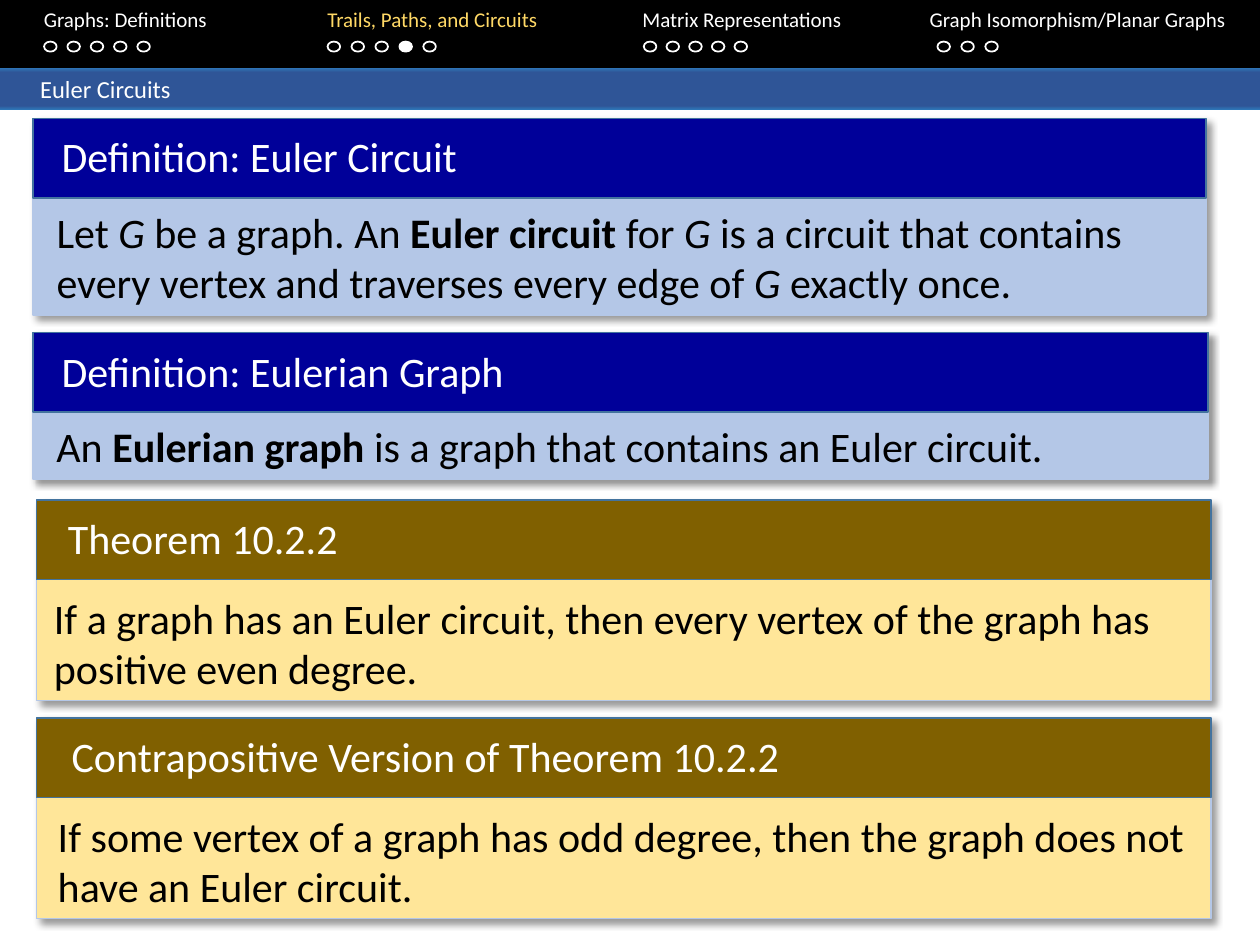
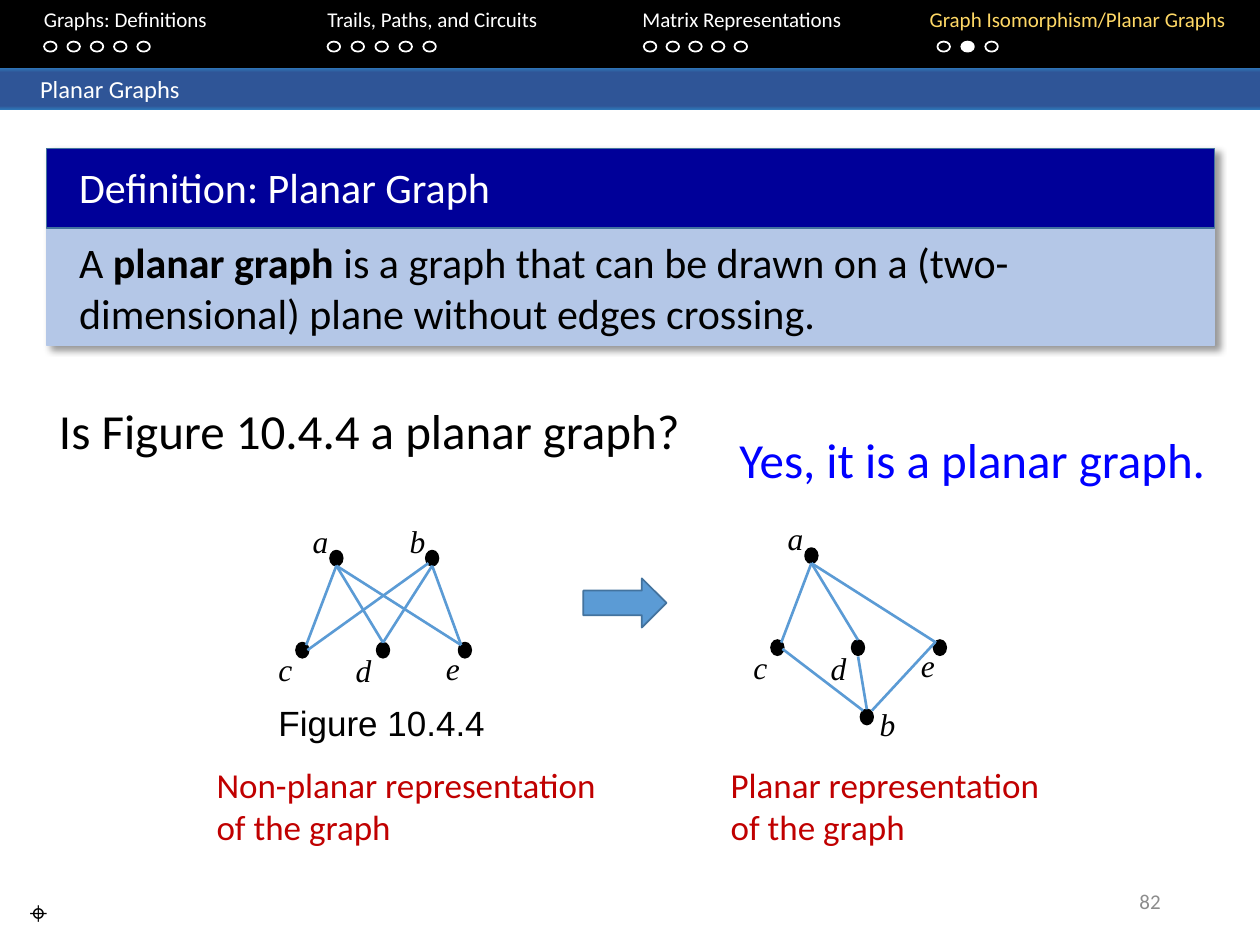
from dataclasses import dataclass

from lxml import etree
from pptx import Presentation, oxml
from pptx.dml.color import RGBColor
from pptx.enum import shapes, text
from pptx.oxml.ns import nsdecls, qn
from pptx.util import Inches, Pt

SHAPE = shapes.MSO_SHAPE
ALIGN = text.PP_ALIGN


@dataclass(frozen=True)
class Theme:
    black: str = "000000"
    white: str = "FFFFFF"
    gold: str = "FFD966"
    band: str = "2F5597"
    rim: str = "2E75B6"
    navy: str = "000099"
    pale: str = "B4C7E7"
    brown: str = "806000"
    cream: str = "FFE699"
    edge: str = "5B9BD5"
    frame: str = "43739E"
    answer: str = "0000FF"
    red: str = "C00000"
    gray: str = "8C8C8C"
    sans: str = "Calibri"
    serif: str = "Times New Roman"
    plain: str = "Arial"
    small: int = 12
    topic: int = 14
    label: int = 18
    note: int = 20
    body: int = 24
    ask: int = 28


T = Theme()
BOLD = {"bold": True}
ITALIC = {"italic": True}
DEFINE = (T.navy, T.pale)
PROVE = (T.brown, T.cream)

# Title, tab stop, first dot, dot step, number of dots
SECTIONS = [
    ("Graphs: Definitions", 0.25, 0.35, 0.185, 5),
    ("Trails, Paths, and Circuits", 2.5, 2.6, 0.19, 5),
    ("Matrix Representations", 5.0, 5.11, 0.18, 5),
    ("Graph Isomorphism/Planar Graphs", 7.28, 7.44, 0.19, 3),
]

# Vertices common to both drawings: centre, then label corner
VERTS = {
    "a": (2.67, 4.43, 2.38, 4.09),
    "c": (2.4, 5.16, 2.1, 5.11),
    "d": (3.04, 5.16, 2.72, 5.12),
    "e": (3.69, 5.16, 3.43, 5.1),
}
FAN = [(2.67, 4.49, 2.43, 5.12), (2.67, 4.49, 3.04, 5.1), (2.67, 4.49, 3.66, 5.12)]


def color(code):
    return RGBColor.from_string(code)


def put(frame, *runs, size=T.body, ink=T.black, font=T.sans, align=None,
        anchor=text.MSO_ANCHOR.TOP, wrap=True, tabs=()):
    """Fill a text frame; a run is a string or a (string, font changes) pair."""
    frame.word_wrap = wrap
    frame.vertical_anchor = anchor
    para = frame.paragraphs[0]
    if tabs:
        stops = etree.SubElement(para._p.get_or_add_pPr(), qn("a:tabLst"))
        for stop in tabs:
            etree.SubElement(stops, qn("a:tab"), pos=str(Inches(stop)), algn="l")
    para.alignment = align
    for item in runs:
        words, change = (item, {}) if isinstance(item, str) else item
        run = para.add_run()
        run.text = words
        look = {"bold": False, "italic": False, "ink": ink, **change}
        run.font.name = font
        run.font.size = Pt(size)
        run.font.bold = look["bold"]
        run.font.italic = look["italic"]
        run.font.color.rgb = color(look["ink"])


class Deck:
    def __init__(self, theme):
        self.theme = theme
        self.prs = Presentation()
        self.prs.slide_width = Inches(10)
        self.prs.slide_height = Inches(7.5)
        self.slide = None

    def shape(self, x, y, w, h, fill=None, line=None, kind=SHAPE.RECTANGLE):
        item = self.slide.shapes.add_shape(
            kind, Inches(x), Inches(y), Inches(w), Inches(h))
        item.shadow.inherit = False
        if fill:
            item.fill.solid()
            item.fill.fore_color.rgb = color(fill)
        else:
            item.fill.background()
        if line:
            item.line.color.rgb = color(line)
            item.line.width = Pt(1)
        else:
            item.line.fill.background()
        return item

    def text(self, x, y, w, h, *runs, **style):
        box = self.slide.shapes.add_textbox(
            Inches(x), Inches(y), Inches(w), Inches(h))
        put(box.text_frame, *runs, **style)

    def line(self, x1, y1, x2, y2):
        item = self.slide.shapes.add_connector(
            shapes.MSO_CONNECTOR.STRAIGHT,
            Inches(x1), Inches(y1), Inches(x2), Inches(y2))
        item.line.color.rgb = color(self.theme.edge)
        item.line.width = Pt(1.5)
        etree.SubElement(item._element.spPr, qn("a:effectLst"))

    def shade(self, item):
        """Give a shape a soft shadow to the lower right."""
        effects = item._element.spPr.find(qn("a:effectLst"))
        effects.append(oxml.parse_xml(
            f'<a:outerShdw {nsdecls("a")} blurRad="50800" dist="38100" '
            'dir="2700000" algn="tl" rotWithShape="0"><a:srgbClr val="000000">'
            '<a:alpha val="40000"/></a:srgbClr></a:outerShdw>'))

    def blend(self, item, *stops):
        """Fill a shape from top to bottom with (percent, colour) stops."""
        marks = "".join(f'<a:gs pos="{pos * 1000}"><a:srgbClr val="{code}"/></a:gs>'
                        for pos, code in stops)
        props = item._element.spPr
        props.remove(props.find(qn("a:noFill")))
        props.find(qn("a:prstGeom")).addnext(oxml.parse_xml(
            f'<a:gradFill {nsdecls("a")} rotWithShape="1"><a:gsLst>{marks}</a:gsLst>'
            '<a:lin ang="5400000" scaled="0"/></a:gradFill>'))

    def start(self, topic, section, step):
        """Add a slide with its navigation bar and topic band."""
        t = self.theme
        self.slide = self.prs.slides.add_slide(self.prs.slide_layouts[6])
        self.shape(0, 0, 10, 0.54, t.black)
        titles = [("\t" + row[0], {"ink": t.gold if i == section else t.white})
                  for i, row in enumerate(SECTIONS)]
        self.text(0, 0, 10, 0.5, *titles, size=t.small,
                  tabs=[row[1] for row in SECTIONS])
        for i, (_, _, left, gap, count) in enumerate(SECTIONS):
            for j in range(count):
                now = (i, j) == (section, step)
                self.shape(left + j * gap, 0.33, 0.1, 0.08,
                           t.white if now else None, t.white, SHAPE.OVAL)
        band = self.shape(0, 0.54, 10, 0.33)
        self.blend(band, (0, t.rim), (11, t.band), (91, t.band), (100, t.rim))
        put(band.text_frame, "\t" + topic, size=t.topic, ink=t.white,
            align=ALIGN.LEFT, anchor=text.MSO_ANCHOR.MIDDLE, tabs=[0.22])

    def panel(self, tones, box, title, body, inset, drop=0.65):
        """Draw a titled box; inset holds the left edges of title and body."""
        t = self.theme
        x, y, w, h = box
        head, fill = tones
        self.shade(self.shape(x, y, w, h, fill, t.pale))
        self.shape(x, y, w, 0.63, head, t.frame)
        left, start = inset
        self.text(left, y + 0.05, x + w - left - 0.2, 0.5, title, ink=t.white)
        self.text(start, y + drop, x + w - start - 0.04, h - drop, *body)

    def vertex(self, name, x, y, left, top):
        t = self.theme
        self.text(left, top, 0.33, 0.4, (name, ITALIC), size=t.label,
                  font=t.serif, align=ALIGN.CENTER, wrap=False)
        self.shape(x - 0.05, y - 0.06, 0.1, 0.12, t.black, t.black, SHAPE.OVAL)

    def graph(self, dx, dy, vertex, links):
        """Draw the shared fan moved by dx, dy, then vertex b and its links."""
        for name, (x, y, left, top) in VERTS.items():
            self.vertex(name, x + dx, y + dy, left + dx, top + dy)
        self.vertex("b", *vertex)
        for x1, y1, x2, y2 in FAN:
            self.line(x1 + dx, y1 + dy, x2 + dx, y2 + dy)
        for link in links:
            self.line(*link)


def euler(deck):
    deck.start("Euler Circuits", 1, 3)
    deck.panel(DEFINE, (0.26, 0.94, 9.31, 1.56), "Definition: Euler Circuit",
               ["Let ", ("G", ITALIC), " be a graph. An ", ("Euler circuit ", BOLD),
                "for ", ("G", ITALIC),
                " is a circuit that contains every vertex and traverses every edge of ",
                ("G", ITALIC), " exactly once."], (0.39, 0.35))
    deck.panel(DEFINE, (0.26, 2.64, 9.33, 1.16), "Definition: Eulerian Graph",
               ["An ", ("Eulerian graph ", BOLD),
                "is a graph that contains an Euler circuit."], (0.39, 0.35))
    deck.panel(PROVE, (0.29, 3.97, 9.32, 1.59), "Theorem 10.2.2",
               ["If a graph has an Euler circuit, then every vertex of the graph "
                "has positive even degree."], (0.44, 0.33), 0.68)
    deck.panel(PROVE, (0.29, 5.7, 9.32, 1.59),
               "Contrapositive Version of Theorem 10.2.2",
               ["If some vertex of a graph has odd degree, then the graph does not "
                "have an Euler circuit."], (0.47, 0.36), 0.68)


def planar(deck):
    deck.start("Planar Graphs", 3, 1)
    deck.text(7.06, 6.95, 2.25, 0.4, "82", size=T.small, ink=T.gray,
              align=ALIGN.RIGHT, anchor=text.MSO_ANCHOR.MIDDLE)
    deck.text(0.37, 3.13, 9.13, 0.57, "Is Figure 10.4.4 a planar graph?", size=T.ask)
    deck.panel(DEFINE, (0.37, 1.18, 9.27, 1.56), "Definition: Planar Graph",
               ["A ", ("planar graph ", BOLD),
                "is a graph that can be drawn on a (two-dimensional) plane "
                "without edges crossing."], (0.53, 0.53))
    deck.text(0, 7.04, 0.61, 0.4, "⌖", size=T.label, align=ALIGN.CENTER)
    deck.graph(0, 0, (3.43, 4.43, 3.15, 4.09),
               [(3.4, 4.47, 2.44, 5.16), (3.43, 4.49, 3.04, 5.1),
                (3.43, 4.49, 3.66, 5.12)])
    deck.graph(3.77, -0.02, (6.88, 5.69, 6.88, 5.55),
               [(6.85, 5.64, 6.21, 5.15), (6.88, 5.63, 6.81, 5.21),
                (6.92, 5.64, 7.42, 5.1)])
    deck.shape(4.63, 4.59, 0.66, 0.39, T.edge, T.frame, SHAPE.RIGHT_ARROW)
    deck.text(5.77, 3.36, 4.03, 0.57, "Yes, it is a planar graph.",
              size=T.ask, ink=T.answer)
    deck.text(1.86, 5.52, 2.34, 0.44, "Figure 10.4.4", size=T.note,
              font=T.plain, align=ALIGN.CENTER)
    for x, w, kind in [(1.62, 3.21, "Non-planar"), (5.7, 2.68, "Planar")]:
        deck.text(x, 6.01, w, 0.77, f"{kind} representation of the graph",
                  size=T.note, ink=T.red)


def main():
    deck = Deck(T)
    euler(deck)
    planar(deck)
    deck.prs.save("out.pptx")


if __name__ == "__main__":
    main()
